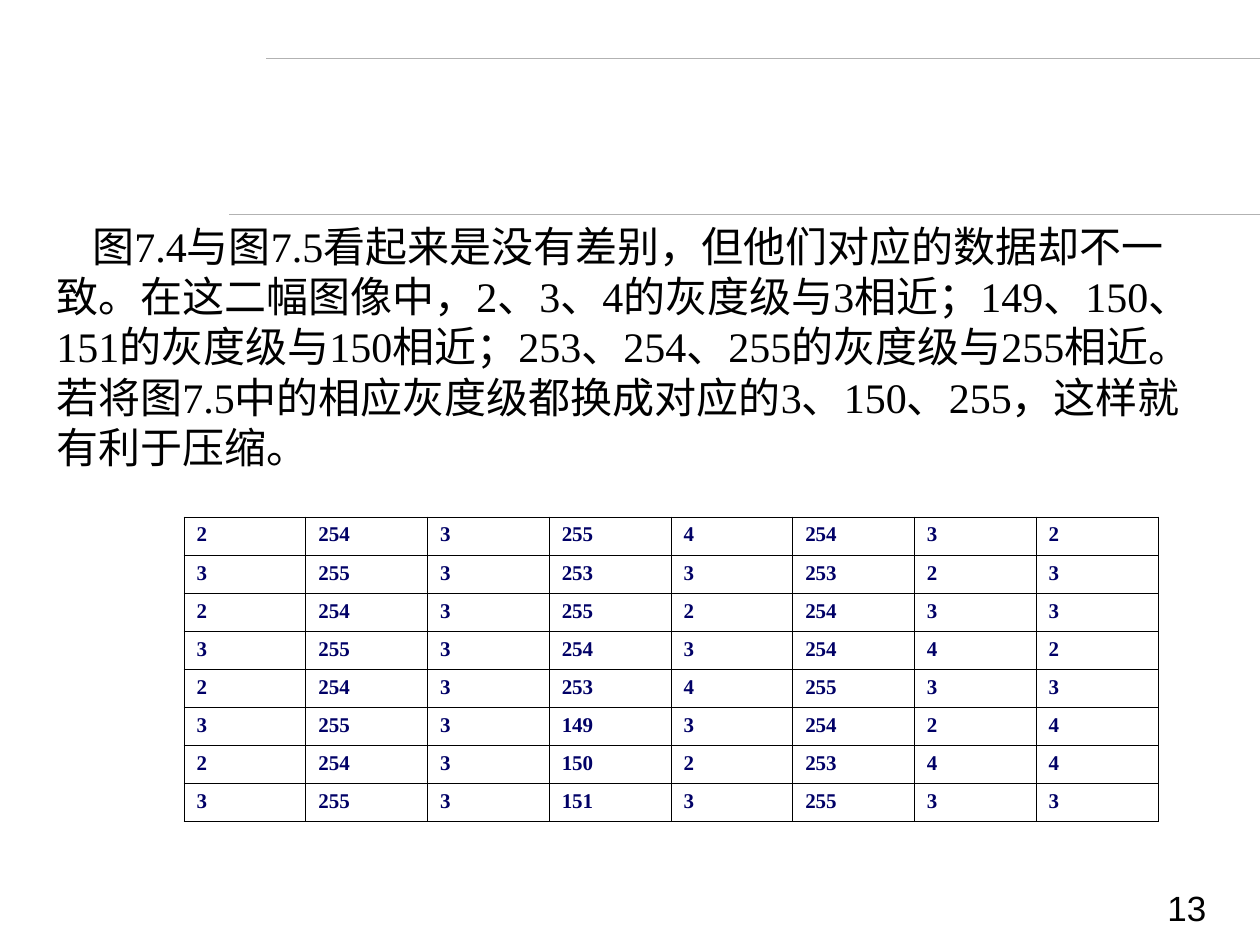
from dataclasses import dataclass

from lxml.etree import SubElement
from pptx import Presentation
from pptx.dml.color import RGBColor as RGB
from pptx.enum.shapes import MSO_CONNECTOR as CONN
from pptx.enum.text import MSO_AUTO_SIZE as AUTOSIZE
from pptx.oxml.ns import qn
from pptx.util import Pt

SCALE = 914400 / 126
INTRO = (
    "图7.4与图7.5看起来是没有差别，但他们对应的数据却不一致。"
    "在这二幅图像中，2、3、4的灰度级与3相近；149、150、151的灰度级与150相近；"
    "253、254、255的灰度级与255相近。"
    "若将图7.5中的相应灰度级都换成对应的3、150、255，这样就有利于压缩。"
)
GRAY_LEVELS = [
    [2, 254, 3, 255, 4, 254, 3, 2],
    [3, 255, 3, 253, 3, 253, 2, 3],
    [2, 254, 3, 255, 2, 254, 3, 3],
    [3, 255, 3, 254, 3, 254, 4, 2],
    [2, 254, 3, 253, 4, 255, 3, 3],
    [3, 255, 3, 149, 3, 254, 2, 4],
    [2, 254, 3, 150, 2, 253, 4, 4],
    [3, 255, 3, 151, 3, 255, 3, 3],
]


def px(n):
    """Turn px into EMU."""
    return round(n * SCALE)


@dataclass(frozen=True)
class Theme:
    """Colours, fonts and type sizes of the slide."""
    text: str = "000000"
    cell: str = "000066"
    border: str = "000000"
    rule: str = "B2B2B2"
    serif: str = "Times New Roman"
    sans: str = "Arial"
    body_size: int = 24
    number_size: int = 20
    cell_size: int = 12
    rule_width: float = 0.25
    border_width: float = 0.45


class SlideBuilder:
    """Draws themed elements on the current slide."""

    def __init__(self, slide, theme):
        """Keep the slide and its theme."""
        self.slide = slide
        self.theme = theme

    def style(self, p, font, size, color, bold=False):
        """Format every run of a paragraph."""
        for r in p.runs:
            r.font.name = font
            r.font.size = Pt(size)
            r.font.bold = bold
            r.font.color.rgb = RGB.from_string(color)

    def rule(self, x1, x2, y):
        """Draw a thin horizontal rule."""
        line = self.slide.shapes.add_connector(CONN.STRAIGHT, px(x1), px(y), px(x2), px(y))
        line.line.color.rgb = RGB.from_string(self.theme.rule)
        line.line.width = Pt(self.theme.rule_width)
        SubElement(line._element.spPr, qn("a:effectLst"))

    def text(self, x, y, w, h, text, font, size, indent):
        """Add a wrapped text box with a first-line indent."""
        sp = self.slide.shapes.add_textbox(px(x), px(y), px(w), px(h))
        tf = sp.text_frame
        tf.word_wrap = True
        tf.auto_size = AUTOSIZE.SHAPE_TO_FIT_TEXT
        tf.text = text
        p = tf.paragraphs[0]
        p._p.get_or_add_pPr().set("indent", str(px(indent)))
        self.style(p, font, size, self.theme.text)

    def borders(self, cell):
        """Outline all four sides of a table cell."""
        tc_pr = cell._tc.get_or_add_tcPr()
        for i, side in enumerate(("lnL", "lnR", "lnT", "lnB")):
            ln = tc_pr.makeelement(qn(f"a:{side}"), {"w": str(Pt(self.theme.border_width))})
            fill = SubElement(ln, qn("a:solidFill"))
            SubElement(fill, qn("a:srgbClr"), val=self.theme.border)
            tc_pr.insert(i, ln)

    def table(self, x, y, w, h, rows):
        """Add an evenly divided table of numbers."""
        n_rows, n_cols = len(rows), len(rows[0])
        frame = self.slide.shapes.add_table(n_rows, n_cols, px(x), px(y), px(w), px(h))
        table = frame.table
        table.first_row = table.horz_banding = False
        for r, values in enumerate(rows):
            for c, value in enumerate(values):
                cell = table.cell(r, c)
                cell.text = str(value)
                cell.fill.background()
                self.borders(cell)
                self.style(cell.text_frame.paragraphs[0], self.theme.serif,
                           self.theme.cell_size, self.theme.cell, bold=True)


def main():
    """Build and save the slide."""
    prs = Presentation()
    prs.slide_width, prs.slide_height = px(1260), px(945)
    theme = Theme()
    builder = SlideBuilder(prs.slides.add_slide(prs.slide_layouts[6]), theme)
    builder.rule(1260, 229, 214)
    builder.rule(1260, 266, 58)
    builder.text(1126, 880, 110, 55, "13", theme.sans, theme.number_size, 29)
    builder.text(44, 214, 1171, 265, INTRO, theme.serif, theme.body_size, 36)
    builder.table(184, 517, 974, 305, GRAY_LEVELS)
    prs.save("out.pptx")


if __name__ == "__main__":
    main()
